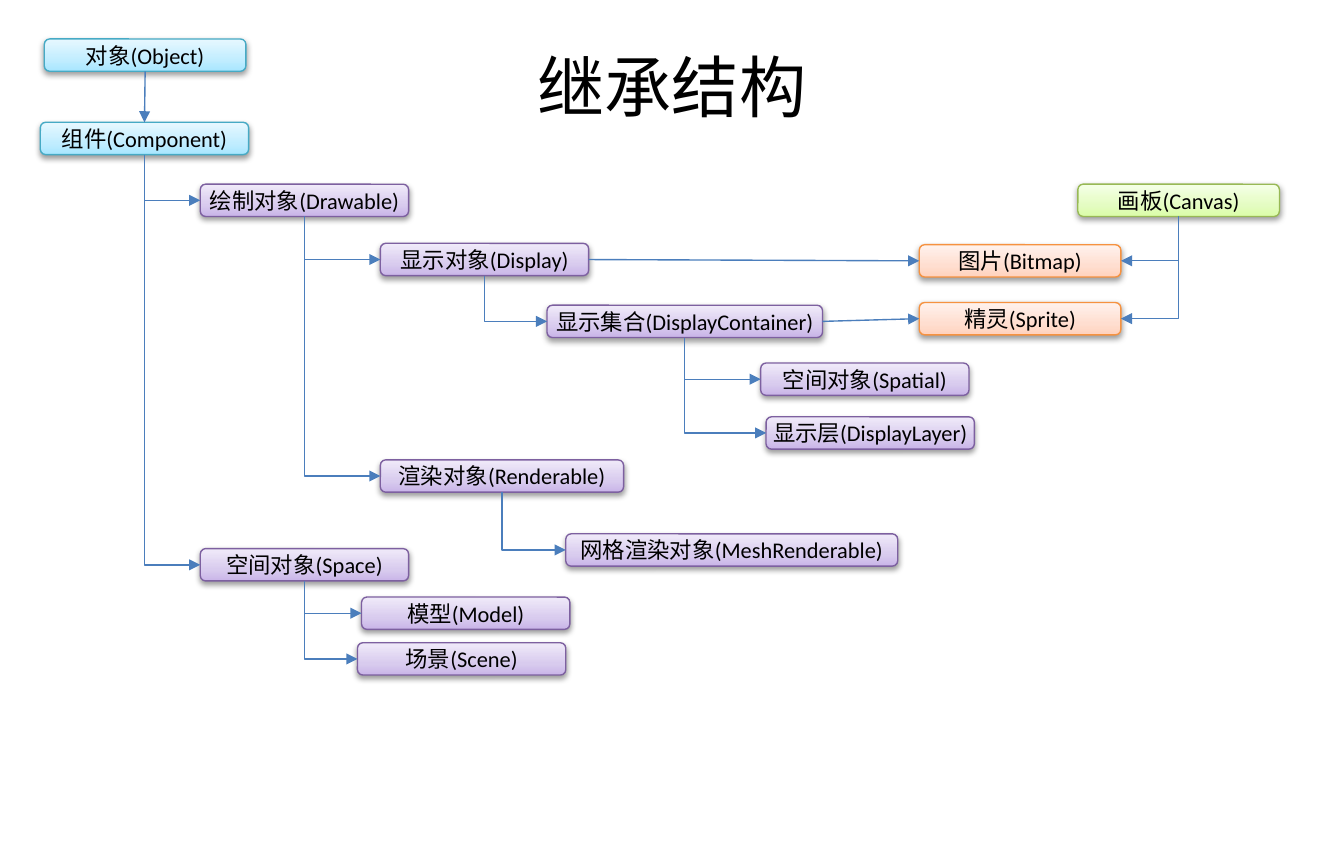
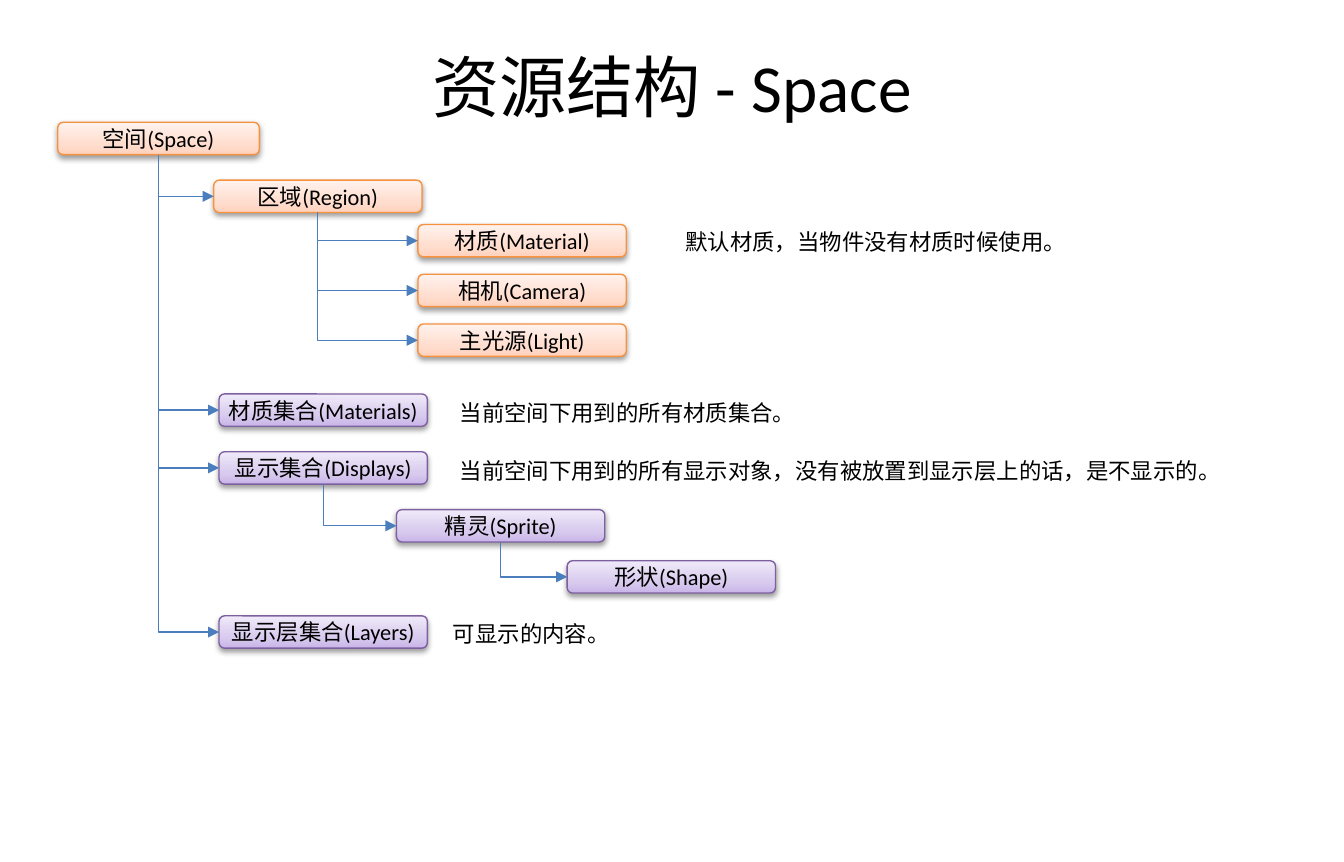
from copy import deepcopy

from lxml import etree
from pptx import Presentation
from pptx.dml.color import RGBColor
from pptx.enum import shapes, text
from pptx.oxml.ns import qn
from pptx.util import Emu, Inches, Pt

FONT = "Calibri"
BLACK = RGBColor(0x00, 0x00, 0x00)
ARROW = RGBColor(0x4B, 0x7E, 0xBC)

# Each palette: outline, then gradient from bottom to top
BLUE = [RGBColor(0x46, 0xAA, 0xC5), RGBColor(0xA7, 0xE6, 0xFF),
        RGBColor(0xC1, 0xED, 0xFF), RGBColor(0xE7, 0xF8, 0xFF)]
PURPLE = [RGBColor(0x7D, 0x60, 0xA0), RGBColor(0xC9, 0xB5, 0xE8),
          RGBColor(0xD8, 0xCB, 0xEE), RGBColor(0xF0, 0xEA, 0xF9)]
ORANGE = [RGBColor(0xF6, 0x92, 0x40), RGBColor(0xFF, 0xD2, 0xBD),
          RGBColor(0xFF, 0xDE, 0xD0), RGBColor(0xFF, 0xF2, 0xED)]
GREEN = [RGBColor(0x98, 0xB9, 0x55), RGBColor(0xDA, 0xFD, 0xA7),
         RGBColor(0xE4, 0xFC, 0xC2), RGBColor(0xF5, 0xFF, 0xE7)]
GRADIENT_POSITIONS = (0, 0.35, 1)

BOX_HEIGHT = 0.24
NARROW, WIDE = 1.5, 1.55
TOP, LEFT, BOTTOM, RIGHT = range(4)  # connection sites of a box

# Columns and rows of the two trees
BRANCH, LEAF, USED = 1.49, 2.83, 6.84
PART, SETTING, LIST_NOTE = 1.63, 3.11, 3.42
SETTING_ROWS = [1.67 + 0.37 * i for i in range(3)]

# classes: class name, Chinese name, parent, left, top, width, palette
# links: from, site, to, site
# remarks: wording, left, top, width
DIAGRAMS = [
    {
        "title": "继承结构",
        "classes": [
            ("Object", "对象", None, 0.33, 0.29, NARROW, BLUE),
            ("Component", "组件", None, 0.3, 0.91, WIDE, BLUE),
            ("Drawable", "绘制对象", "Component", BRANCH, 1.37, WIDE, PURPLE),
            ("Display", "显示对象", "Drawable", LEAF, 1.81, WIDE, PURPLE),
            ("Renderable", "渲染对象", "Drawable", LEAF, 3.42, 1.81, PURPLE),
            ("DisplayContainer", "显示集合", "Display", 4.07, 2.27, 2.05, PURPLE),
            ("Spatial", "空间对象", "DisplayContainer", 5.66, 2.7, WIDE, PURPLE),
            ("DisplayLayer", "显示层", "DisplayContainer", 5.7, 3.1, WIDE, PURPLE),
            ("MeshRenderable", "网格渲染对象", "Renderable", 4.21, 3.97, 2.47, PURPLE),
            ("Space", "空间对象", "Component", BRANCH, 4.08, WIDE, PURPLE),
            ("Model", "模型", "Space", 2.69, 4.44, WIDE, PURPLE),
            ("Scene", "场景", "Space", 2.66, 4.78, WIDE, PURPLE),
            ("Canvas", "画板", None, 8.02, 1.37, NARROW, GREEN),
            ("Bitmap", "图片", None, USED, 1.82, NARROW, ORANGE),
            ("Sprite", "精灵", None, USED, 2.25, NARROW, ORANGE),
        ],
        "links": [
            ("Object", BOTTOM, "Component", TOP),
            ("Display", RIGHT, "Bitmap", LEFT),
            ("DisplayContainer", RIGHT, "Sprite", LEFT),
            ("Canvas", BOTTOM, "Bitmap", RIGHT),
            ("Canvas", BOTTOM, "Sprite", RIGHT),
        ],
        "remarks": [],
    },
    {
        "title": "资源结构 - Space",
        "classes": [
            ("Space", "空间", None, 0.43, 0.91, NARROW, ORANGE),
            ("Region", "区域", "Space", 1.59, 1.34, WIDE, ORANGE),
            ("Material", "材质", "Region", SETTING, SETTING_ROWS[0], WIDE, ORANGE),
            ("Camera", "相机", "Region", SETTING, SETTING_ROWS[1], WIDE, ORANGE),
            ("Light", "主光源", "Region", SETTING, SETTING_ROWS[2], WIDE, ORANGE),
            ("Materials", "材质集合", "Space", PART, 2.93, WIDE, PURPLE),
            ("Displays", "显示集合", "Space", PART, 3.36, WIDE, PURPLE),
            ("Sprite", "精灵", "Displays", 2.95, 3.79, WIDE, PURPLE),
            ("Shape", "形状", "Sprite", 4.22, 4.17, WIDE, PURPLE),
            ("Layers", "显示层集合", "Space", PART, 4.58, WIDE, PURPLE),
        ],
        "links": [],
        "remarks": [
            ("默认材质，当物件没有材质时候使用。", 5.1, 1.7, 2.81),
            ("当前空间下用到的所有材质集合。", LIST_NOTE, 2.97, 2.81),
            ("当前空间下用到的所有显示对象，没有被放置到显示层上的话，是不显示的。",
             LIST_NOTE, 3.4, 6.08),
            ("可显示的内容。", 3.37, 4.61, 2.81),
        ],
    },
]


def write(shape, wording, size, align, anchor):
    """Fill a shape with one line of black text, without insets."""
    frame = shape.text_frame
    frame.word_wrap = True
    frame.vertical_anchor = anchor
    frame.margin_left = frame.margin_top = frame.margin_right = frame.margin_bottom = 0
    line = frame.paragraphs[0]
    line.text = wording
    line.alignment = align
    line.font.name, line.font.size, line.font.color.rgb = FONT, Pt(size), BLACK


def link(slide, start, start_site, end, end_site):
    """Join two boxes with an arrow, bent once when it leaves downwards and enters sideways."""
    bent = start_site == BOTTOM and end_site != TOP
    kind = shapes.MSO_CONNECTOR.ELBOW if bent else shapes.MSO_CONNECTOR.STRAIGHT
    arrow = slide.shapes.add_connector(kind, 0, 0, 0, 0)
    arrow.begin_connect(start, start_site)
    arrow.end_connect(end, end_site)
    arrow.line.color.rgb = ARROW
    arrow.line.width = Pt(0.75)
    properties = arrow._element.spPr
    etree.SubElement(properties.find(qn("a:ln")), qn("a:tailEnd"), type="triangle")
    etree.SubElement(properties, qn("a:effectLst"))
    if bent:
        x0, y0, x1, y1 = arrow.begin_x, arrow.begin_y, arrow.end_x, arrow.end_y
        across, down = abs(x1 - x0), y1 - y0
        properties.find(qn("a:prstGeom")).set("prst", "bentConnector2")
        frame = properties.find(qn("a:xfrm"))
        frame.attrib.clear()
        # A quarter turn swaps width and height around the same centre
        frame.set("rot", "16200000" if x1 > x0 else "5400000")
        if x1 > x0:
            frame.set("flipH", "1")
        arrow.left, arrow.top = Emu((x0 + x1 - down) // 2), Emu((y0 + y1 - across) // 2)
        arrow.width, arrow.height = Emu(down), Emu(across)


deck = Presentation()
deck.slide_width, deck.slide_height = Inches(10), Inches(6.41)

for diagram in DIAGRAMS:
    slide = deck.slides.add_slide(deck.slide_layouts[6])
    heading = slide.shapes.add_textbox(Inches(0.5), Inches(0.26), Inches(9), Inches(0.75))
    write(heading, diagram["title"], 36, text.PP_ALIGN.CENTER, text.MSO_ANCHOR.MIDDLE)

    boxes = {}
    for name, chinese, parent, left, top, width, (outline, *gradient) in diagram["classes"]:
        box = slide.shapes.add_shape(
            shapes.MSO_SHAPE.ROUNDED_RECTANGLE,
            Inches(left), Inches(top), Inches(width), Inches(BOX_HEIGHT))
        boxes[name] = box
        write(box, f"{chinese}({name})", 12, text.PP_ALIGN.CENTER, text.MSO_ANCHOR.MIDDLE)
        box.line.color.rgb = outline
        box.line.width = Pt(0.75)

        box.fill.gradient()
        box.fill.gradient_angle = 90
        stops = box._element.spPr.find(qn("a:gradFill")).find(qn("a:gsLst"))
        stops.insert(1, deepcopy(stops[0]))
        for stop, position, colour in zip(box.fill.gradient_stops, GRADIENT_POSITIONS, gradient):
            stop.position = position
            stop.color.rgb = colour

        box.shadow.inherit = False
        shadow = etree.SubElement(
            box._element.spPr.find(qn("a:effectLst")), qn("a:outerShdw"),
            blurRad="40000", dist="20000", dir="5400000", rotWithShape="0")
        shade = etree.SubElement(shadow, qn("a:srgbClr"), val=str(BLACK))
        etree.SubElement(shade, qn("a:alpha"), val="38000")

        if parent:
            link(slide, boxes[parent], BOTTOM, box, LEFT)

    for start, start_site, end, end_site in diagram["links"]:
        link(slide, boxes[start], start_site, boxes[end], end_site)

    for wording, left, top, width in diagram["remarks"]:
        remark = slide.shapes.add_textbox(Inches(left), Inches(top), Inches(width), Inches(0.2))
        write(remark, wording, 12, text.PP_ALIGN.LEFT, text.MSO_ANCHOR.TOP)
        remark.text_frame.auto_size = text.MSO_AUTO_SIZE.SHAPE_TO_FIT_TEXT

deck.save("out.pptx")
